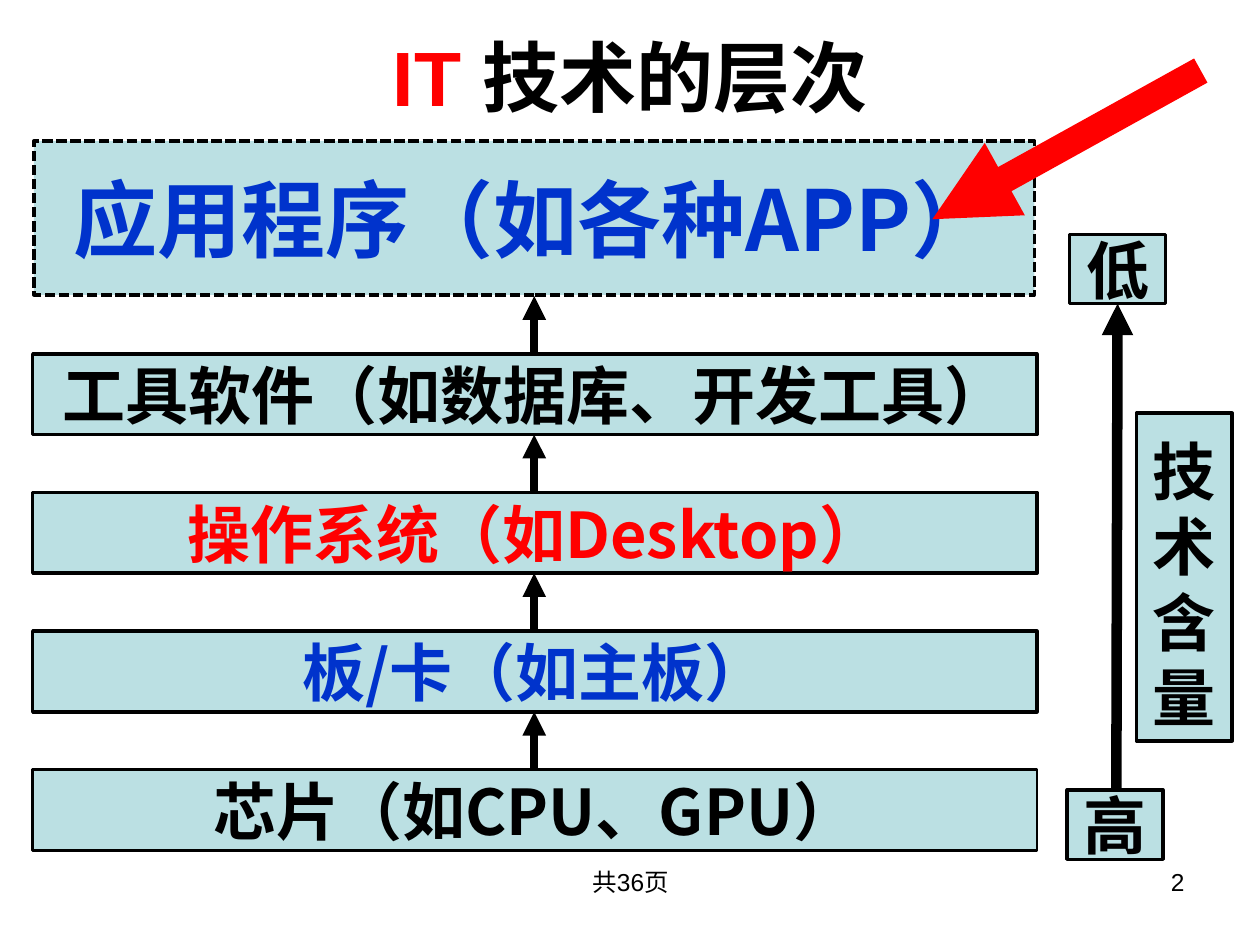
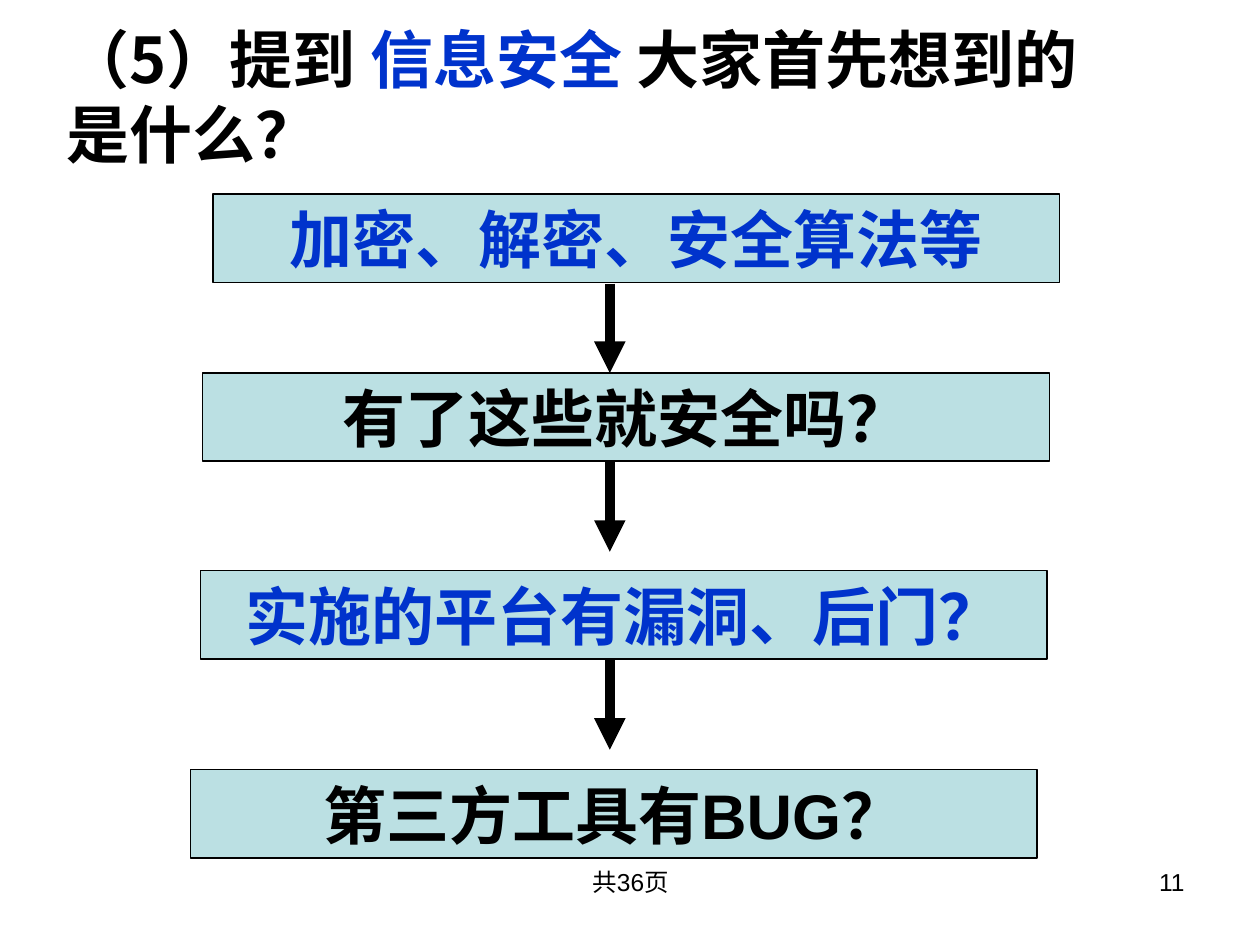
from lxml.etree import SubElement
from pptx import Presentation
from pptx.dml.color import RGBColor
from pptx.enum.dml import MSO_LINE
from pptx.enum.shapes import MSO_CONNECTOR, MSO_SHAPE
from pptx.enum.text import MSO_ANCHOR, MSO_AUTO_SIZE, PP_ALIGN
from pptx.oxml.ns import qn
from pptx.util import Inches, Pt

SLIDE_WIDTH, SLIDE_HEIGHT = Inches(10), Inches(7.5)
COLUMNS, ROWS = 100, 75
BLACK = RGBColor(0x00, 0x00, 0x00)
RED = RGBColor(0xFF, 0x00, 0x00)
BLUE = RGBColor(0x00, 0x33, 0xCC)
PALE_TEAL = RGBColor(0xBB, 0xE0, 0xE3)
LATIN_FONT, CHINESE_FONT = "Arial", "Noto Sans CJK SC"
TITLE_ONLY = 5
LINE_PITCH = Pt(43.2)


def column(number):
    """Return the horizontal length of a number of grid columns."""
    return round(SLIDE_WIDTH * number / COLUMNS)


def row(number):
    """Return the vertical length of a number of grid rows."""
    return round(SLIDE_HEIGHT * number / ROWS)


def grid_box(left, top, width, height):
    """Turn grid units into a position and a size."""
    return column(left), row(top), column(width), row(height)


def add_run(paragraph, text, size, color=BLACK, font=CHINESE_FONT, bold=True):
    """Append one formatted run to a paragraph."""
    run = paragraph.add_run()
    run.text = text
    run.font.size = Pt(size)
    run.font.bold = bold
    run.font.color.rgb = color
    run.font.name = font
    SubElement(run.font._element, qn("a:ea"), typeface=CHINESE_FONT)


def prepare_frame(shape, alignment, anchor):
    """Set wrapping, anchor and alignment, and return the first paragraph."""
    frame = shape.text_frame
    frame.word_wrap = True
    frame.auto_size = MSO_AUTO_SIZE.NONE
    frame.vertical_anchor = anchor
    paragraph = frame.paragraphs[0]
    paragraph.alignment = alignment
    return paragraph


def add_box(slide, box, text, color=BLACK, size=36, font=CHINESE_FONT, line_width=2):
    """Draw a pale outlined box with one centred line of text."""
    shape = slide.shapes.add_shape(MSO_SHAPE.RECTANGLE, *grid_box(*box))
    shape.shadow.inherit = False
    shape.fill.solid()
    shape.fill.fore_color.rgb = PALE_TEAL
    shape.line.color.rgb = BLACK
    shape.line.width = Pt(line_width)
    paragraph = prepare_frame(shape, PP_ALIGN.CENTER, MSO_ANCHOR.MIDDLE)
    shape.text_frame.margin_top = shape.text_frame.margin_bottom = 0
    add_run(paragraph, text, size, color, font)
    return shape


def add_arrow(slide, start, end, width, color=BLACK):
    """Draw a straight arrow between two grid points."""
    arrow = slide.shapes.add_connector(
        MSO_CONNECTOR.STRAIGHT,
        column(start[0]), row(start[1]), column(end[0]), row(end[1]))
    arrow.line.color.rgb = color
    arrow.line.width = Pt(width)
    SubElement(arrow.line._get_or_add_ln(), qn("a:tailEnd"), type="triangle")
    SubElement(arrow._element.spPr, qn("a:effectLst"))


def add_footer_text(slide, box, text, alignment):
    """Add one small footer text."""
    shape = slide.shapes.add_textbox(*grid_box(*box))
    paragraph = prepare_frame(shape, alignment, MSO_ANCHOR.TOP)
    add_run(paragraph, text, 14, font=LATIN_FONT, bold=False)


def add_titled_slide(presentation, page, box, runs, size, font, alignment, anchor):
    """Add a slide with its title and footer, and return it with the title paragraph."""
    slide = presentation.slides.add_slide(presentation.slide_layouts[TITLE_ONLY])
    title = slide.shapes.title
    title.left, title.top, title.width, title.height = grid_box(*box)
    paragraph = prepare_frame(title, alignment, anchor)
    for text, color in runs:
        add_run(paragraph, text, size, color, font)
    add_footer_text(slide, (34.2, 68.3, 31.7, 5.2), "共36页", PP_ALIGN.CENTER)
    add_footer_text(slide, (71.7, 68.3, 23.3, 5.2), page, PP_ALIGN.RIGHT)
    return slide, paragraph


def add_layers(slide):
    """Stack the technology layers from chips up to applications."""
    layers = [
        ("芯片（如CPU、GPU）", BLACK, 1.5),
        ("板/卡（如主板）", BLUE, 2),
        ("操作系统（如Desktop）", RED, 2),
        ("工具软件（如数据库、开发工具）", BLACK, 2),
    ]
    bottom_top, pitch, height, middle = 61.1, 11, 6.4, 42.4
    for index, (text, color, line_width) in enumerate(layers):
        top = bottom_top - index * pitch
        add_box(slide, (2.6, top, 79.7, height), text, color, line_width=line_width)
        add_arrow(slide, (middle, top), (middle, top + height - pitch), 4.5)
    application = add_box(
        slide, (2.7, 11.2, 79.4, 12.2), "应用程序（如各种APP）", BLUE, size=48)
    application.line.dash_style = MSO_LINE.SQUARE_DOT


def add_technology_scale(slide):
    """Draw the scale of technical content from high to low."""
    add_arrow(slide, (88.6, 62.8), (88.7, 24.1), 6)
    add_box(slide, (84.7, 62.7, 7.6, 5.5), "高")
    add_box(slide, (84.9, 18.6, 7.6, 5.5), "低")
    label = add_box(slide, (90.2, 32.8, 7.6, 26), "技术含量")
    label.text_frame.margin_top = row(1)
    label.text_frame.paragraphs[0].line_spacing = LINE_PITCH


def build_layers_slide(presentation):
    """Build the slide on the layers of IT."""
    slide, _ = add_titled_slide(
        presentation, "2", (1.6, 1.8, 96.9, 8.4),
        [("IT ", RED), ("技术的层次", BLACK)],
        44, LATIN_FONT, PP_ALIGN.CENTER, MSO_ANCHOR.MIDDLE)
    add_layers(slide)
    add_technology_scale(slide)
    add_arrow(slide, (95.3, 5.6), (74, 17.4), 15.75, RED)


def build_security_slide(presentation):
    """Build the slide with the chain of security questions."""
    slide, title = add_titled_slide(
        presentation, "11", (4.3, 1.1, 82.7, 13),
        [("（5）提到 ", BLACK), ("信息安全 ", BLUE), ("大家首先想到的是什么？", BLACK)],
        36, CHINESE_FONT, PP_ALIGN.LEFT, MSO_ANCHOR.TOP)
    title.line_spacing = LINE_PITCH
    questions = [
        (16.9, 15.4, "加密、解密、安全算法等", BLUE),
        (16.1, 29.6, "有了这些就安全吗？", BLACK),
        (15.9, 45.3, "实施的平台有漏洞、后门？", BLUE),
        (15.1, 61.1, "第三方工具有BUG？", BLACK),
    ]
    arrow_column, step = 48.4, 7.1
    for left, top, text, color in questions:
        add_box(slide, (left, top, 67.2, 7), text, color, font=LATIN_FONT, line_width=0.75)
    for _, top, _, _ in questions[:-1]:
        add_arrow(slide, (arrow_column, top + step), (arrow_column, top + 2 * step), 6)


def main():
    """Build and save the presentation."""
    presentation = Presentation()
    presentation.slide_width, presentation.slide_height = SLIDE_WIDTH, SLIDE_HEIGHT
    build_layers_slide(presentation)
    build_security_slide(presentation)
    presentation.save("out.pptx")


if __name__ == "__main__":
    main()
